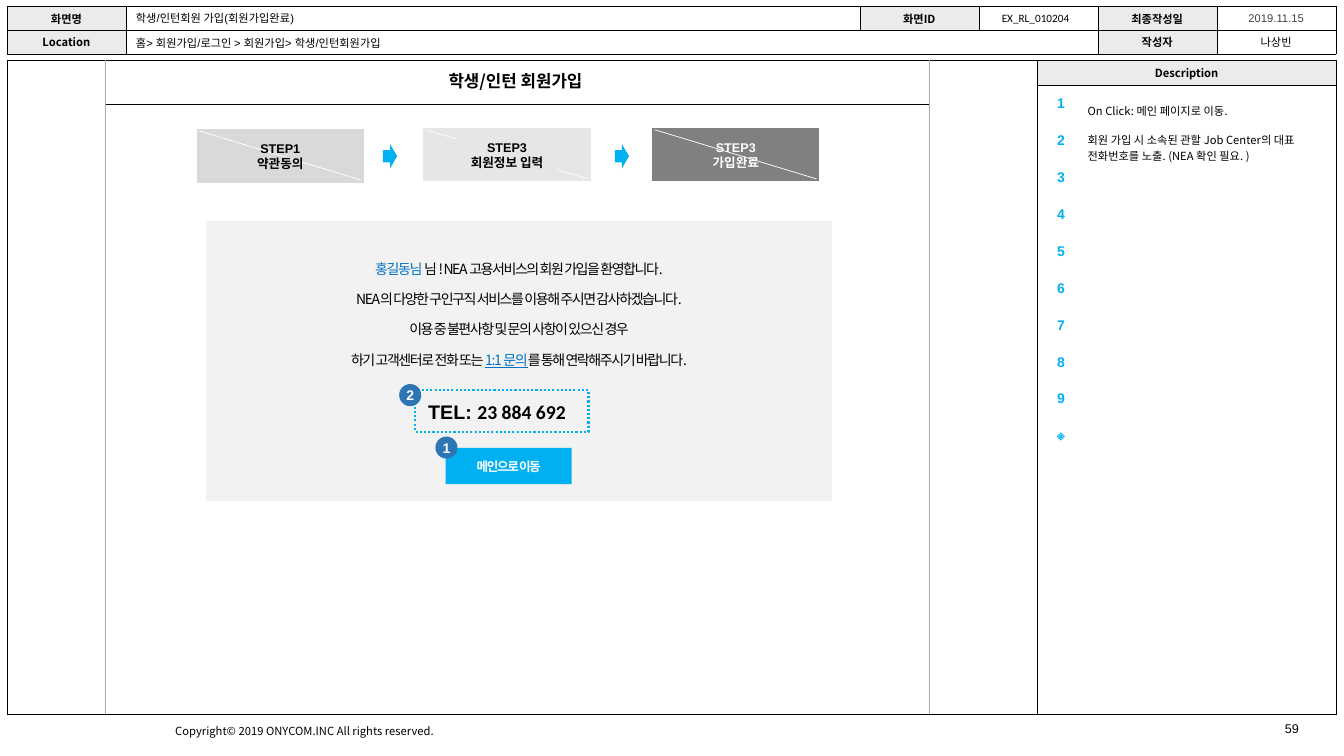
import pptx
import pptx.dml.color
import pptx.enum.dml
import pptx.enum.shapes
import pptx.enum.text
import pptx.oxml
import pptx.oxml.ns
import pptx.util

Pt = pptx.util.Pt
SHAPE = pptx.enum.shapes.MSO_SHAPE
ALIGN = pptx.enum.text.PP_ALIGN
ANCHOR = pptx.enum.text.MSO_ANCHOR

THEME = {
    "black": "000000", "white": "FFFFFF", "header": "EBEBEB", "date": "404040", "guide": "AFABAB",
    "panel": "F2F2F2", "accent": "00B0F0", "link": "0070C0", "badge": "2E75B6",
    "done": "D9D9D9", "next": "E7E6E6", "current": "808080",
    "korean": "Noto Sans CJK KR", "latin": "Arial", "figure": "Calibri",
    "small": 8, "label": 9, "text": 10, "title": 12, "phone": 14,
}

# Content
TITLE = "학생/인턴 회원가입"
SCREEN_NAME = "학생/인턴회원 가입(회원가입완료)"
LOCATION = "홈> 회원가입/로그인 > 회원가입> 학생/인턴회원가입"
SCREEN_ID = "EX_RL_010204"
COPYRIGHT = "Copyright© 2019 ONYCOM.INC All rights reserved."
PAGE_NUMBER = "59"
HEADER = [["화면명", "", "화면ID", "", "최종작성일", "2019.11.15"],
          ["Location", "", "", "", "작성자", "나상빈"]]
FRAME = [["", "Description"], ["", ""]]
VALUE_STYLES = {"2019.11.15": {"font": "latin", "color": "date"}, "나상빈": {"font": "latin"}}
NOTES = [["On Click: 메인 페이지로 이동."],
         ["회원 가입 시 소속된 관할 Job Center의 대표", "전화번호를 노출. (NEA 확인 필요. )"]]
MARKS = [*"123456789", "※"]
STEPS = [  # lines, left, top, fill, text colour, label width, label fill
    (["STEP1", "약관동의"], 140.4, 92.2, "done", "black", 51, None),
    (["STEP3", "회원정보 입력"], 302.4, 91.4, "next", "black", 72, "next"),
    (["STEP3", "가입완료"], 465.8, 91.4, "current", "white", 51, None),
]
LINK = {"color": "link"}
WELCOME = [
    [("홍길동님 ", LINK), ("님 ! NEA 고용서비스의 회원 가입을 환영합니다.", {})],
    "NEA의 다양한 구인구직 서비스를 이용해 주시면 감사하겠습니다.",
    "이용 중 불편사항 및 문의 사항이 있으신 경우",
    [("하기 고객센터로 전화 또는 ", {}), ("1:1 문의", {"color": "link", "underline": True}),
     ("를 통해 연락해주시기 바랍니다.", {})],
]
PHONE = [[("TEL: ", {}), ("23 884 692", {"font": "figure"})]]
BUTTON = "메인으로 이동"
BADGES = [("1", 311, 311.8), ("2", 285.1, 274.3)]


def rgb(name):
    return pptx.dml.color.RGBColor.from_string(THEME[name])


def style_run(span, size="small", font="korean", color="black", bold=False,
              underline=False, spacing=0):
    span.font.size = Pt(THEME[size])
    span.font.name = THEME[font]
    span.font.bold = bold
    span.font.color.rgb = rgb(color)
    if underline:
        span.font.underline = True
    props = span.font._element
    east = props.makeelement(pptx.oxml.ns.qn("a:ea"), {"typeface": THEME["korean"]})
    props.find(pptx.oxml.ns.qn("a:latin")).addnext(east)
    if spacing:
        props.set("spc", str(spacing * 100))


def write(frame, lines, align=ALIGN.LEFT, gap=0, **style):
    for index, line in enumerate(lines):
        para = frame.paragraphs[0] if index == 0 else frame.add_paragraph()
        para.alignment = align
        if index and gap:
            para.space_before = Pt(gap)
        if isinstance(line, str):
            para.text = line
            for span in para.runs:
                style_run(span, **style)
        else:
            for text, change in line:
                span = para.add_run()
                span.text = text
                style_run(span, **{**style, **change})


def set_frame(frame, anchor, wrap=True, margins=(7.2, 3.6)):
    frame.word_wrap = wrap
    frame.auto_size = pptx.enum.text.MSO_AUTO_SIZE.NONE
    frame.vertical_anchor = anchor
    frame.margin_left = frame.margin_right = Pt(margins[0])
    frame.margin_top = frame.margin_bottom = Pt(margins[1])


def add_text(place, lines, wrap=True, **style):
    box = page.shapes.add_textbox(*map(Pt, place))
    set_frame(box.text_frame, ANCHOR.TOP, wrap)
    write(box.text_frame, lines, **style)


def add_block(shapes, kind, place, fill=None):
    block = shapes.add_shape(kind, *map(Pt, place))
    block.shadow.inherit = False
    block.line.fill.background()
    if fill:
        block.fill.solid()
        block.fill.fore_color.rgb = rgb(fill)
    else:
        block.fill.background()
    return block


def add_line(shapes, ends, color, width):
    line = shapes.add_connector(pptx.enum.shapes.MSO_CONNECTOR.STRAIGHT, *map(Pt, ends))
    line.line.color.rgb = rgb(color)
    line.line.width = Pt(width)
    props = line._element.spPr
    props.append(props.makeelement(pptx.oxml.ns.qn("a:effectLst"), {}))


def add_grid(left, top, widths, heights):
    grid = page.shapes.add_table(len(heights), len(widths), Pt(left), Pt(top),
                                 Pt(sum(widths)), Pt(sum(heights))).table
    grid.first_row = grid.horz_banding = False
    style_id = grid._tbl.tblPr.find(pptx.oxml.ns.qn("a:tableStyleId"))
    style_id.text = "{2D5ABB26-0587-4C30-8999-92F81FD0307C}"
    for column, width in zip(grid.columns, widths):
        column.width = Pt(width)
    for row, height in zip(grid.rows, heights):
        row.height = Pt(height)
    return grid


def fill_cell(cell, lines, fill="white", anchor=ANCHOR.MIDDLE, margins=(2.9, 0.7, 0.7), **style):
    cell.fill.solid()
    cell.fill.fore_color.rgb = rgb(fill)
    cell.vertical_anchor = anchor
    cell.margin_left = cell.margin_right = Pt(margins[0])
    cell.margin_top, cell.margin_bottom = Pt(margins[1]), Pt(margins[2])
    if lines:
        write(cell.text_frame, lines, **style)
    else:  # keeps an empty cell from growing its row
        para = cell.text_frame.paragraphs[0]._p
        para.append(para.makeelement(pptx.oxml.ns.qn("a:endParaRPr"),
                                     {"sz": str(THEME["small"] * 100)}))


def add_borders(cell):
    props = cell._tc.get_or_add_tcPr()
    for index, side in enumerate("LRTB"):
        props.insert(index, pptx.oxml.parse_xml(
            f'<a:ln{side} {pptx.oxml.ns.nsdecls("a")} w="3175"><a:solidFill>'
            f'<a:srgbClr val="{THEME["black"]}"/></a:solidFill></a:ln{side}>'))


def add_form(left, top, widths, heights, rows, merge):
    grid = add_grid(left, top, widths, heights)
    for r, row in enumerate(rows):
        for c, text in enumerate(row):
            cell = grid.cell(r, c)
            value = VALUE_STYLES.get(text)
            style = {"bold": True} if value is None else value
            fill = "header" if text and value is None else "white"
            fill_cell(cell, [text] if text else [], fill, align=ALIGN.CENTER, **style)
            add_borders(cell)
    grid.cell(*merge[0]).merge(grid.cell(*merge[1]))


deck = pptx.Presentation()
deck.slide_width, deck.slide_height = Pt(960), Pt(540)
page = deck.slides.add_slide(deck.slide_layouts[5])

# Frame, header form and guide lines
add_text((118.1, 514.1, 206.6, 17.3), [COPYRIGHT], wrap=False)
add_form(5, 42.8, [735.8, 213.8], [18, 449.3], FRAME, ((0, 0), (1, 0)))
add_form(5, 4.5, [85, 524.2, 85, 85, 85, 85], [17, 17], HEADER, ((1, 1), (1, 3)))
add_line(page.shapes, (75.6, 74.4, 663.8, 74.4), "black", 0.25)
for x in (75.6, 663.8):
    add_line(page.shapes, (x, 42.8, x, 510.2), "guide", 0.5)
add_text((910.8, 511.2, 40.3, 28.8), [PAGE_NUMBER], size="label", font="latin")
for top, text in ((4.3, SCREEN_NAME), (22.3, LOCATION)):
    add_text((90, top, 274.3, 17.3), [text], font="latin")
add_text((708.5, 4.3, 62.6, 17.3), [SCREEN_ID], wrap=False, font="figure")

# Welcome panel with button and phone number
panel = add_block(page.shapes, SHAPE.RECTANGLE, (147.2, 157.7, 447, 200.2), "panel")
set_frame(panel.text_frame, ANCHOR.TOP)
panel.text_frame.margin_top = Pt(28.5)
write(panel.text_frame, WELCOME, ALIGN.CENTER, gap=9.5, size="text", spacing=-1)
button = add_block(page.shapes, SHAPE.RECTANGLE, (318.4, 319.9, 90, 26), "accent")
set_frame(button.text_frame, ANCHOR.MIDDLE)
write(button.text_frame, [BUTTON], ALIGN.CENTER, size="label", color="white", bold=True, spacing=-1)
add_text((298.8, 282.2, 137.5, 24.5), PHONE, size="phone", font="latin", bold=True)
outline = add_block(page.shapes, SHAPE.RECTANGLE, (296.6, 278.8, 123.8, 29.5))
outline.line.color.rgb = rgb("accent")
outline.line.width = Pt(1.5)
outline.line.dash_style = pptx.enum.dml.MSO_LINE.ROUND_DOT
for number, left, top in BADGES:
    badge = add_block(page.shapes, SHAPE.OVAL, (left, top, 15.8, 15.8), "badge")
    set_frame(badge.text_frame, ANCHOR.MIDDLE, False, (0, 0))
    write(badge.text_frame, [number], ALIGN.CENTER, size="text", font="latin", color="white", bold=True)

# Description list
notes = add_grid(745.9, 64.8, [23.8, 181.4], [26.4] * len(MARKS))
for r, mark in enumerate(MARKS):
    fill_cell(notes.cell(r, 0), [mark], anchor=ANCHOR.TOP, margins=(2.9, 3.6, 3.6),
              align=ALIGN.CENTER, size="text", font="latin", color="accent", bold=True)
    fill_cell(notes.cell(r, 1), NOTES[r] if r < len(NOTES) else [], margins=(7.2, 2, 0))

# Sign-up steps
CARD_WIDTH, CARD_HEIGHT, LABEL_HEIGHT = 119.5, 38.2, 28.8
for lines, left, top, fill, color, label_width, label_fill in STEPS:
    step = page.shapes.add_group_shape().shapes
    add_block(step, SHAPE.FLOWCHART_PROCESS, (left, top, CARD_WIDTH, CARD_HEIGHT), fill)
    add_line(step, (left + 2, top + 1.3, left + 117.4, top + 36.4), "white", 0.5)
    label = add_block(step, SHAPE.RECTANGLE, (
        left + (CARD_WIDTH - label_width) / 2, top + (CARD_HEIGHT - LABEL_HEIGHT) / 2,
        label_width, LABEL_HEIGHT), label_fill)
    set_frame(label.text_frame, ANCHOR.MIDDLE, False)
    write(label.text_frame, lines, ALIGN.CENTER, size="label", font="latin", color=color, bold=True)
for left in (273.6, 439.2):
    add_block(page.shapes, SHAPE.RIGHT_ARROW, (left, 103, 10.1, 17.3), "accent")

# Title, brought in front of the frame
title = page.shapes.title
title.left, title.top, title.width, title.height = map(Pt, (313.2, 46.8, 128.9, 22.3))
set_frame(title.text_frame, ANCHOR.MIDDLE)
write(title.text_frame, [TITLE], size="title", bold=True)
page.shapes.element.append(title.element)

deck.save("out.pptx")
